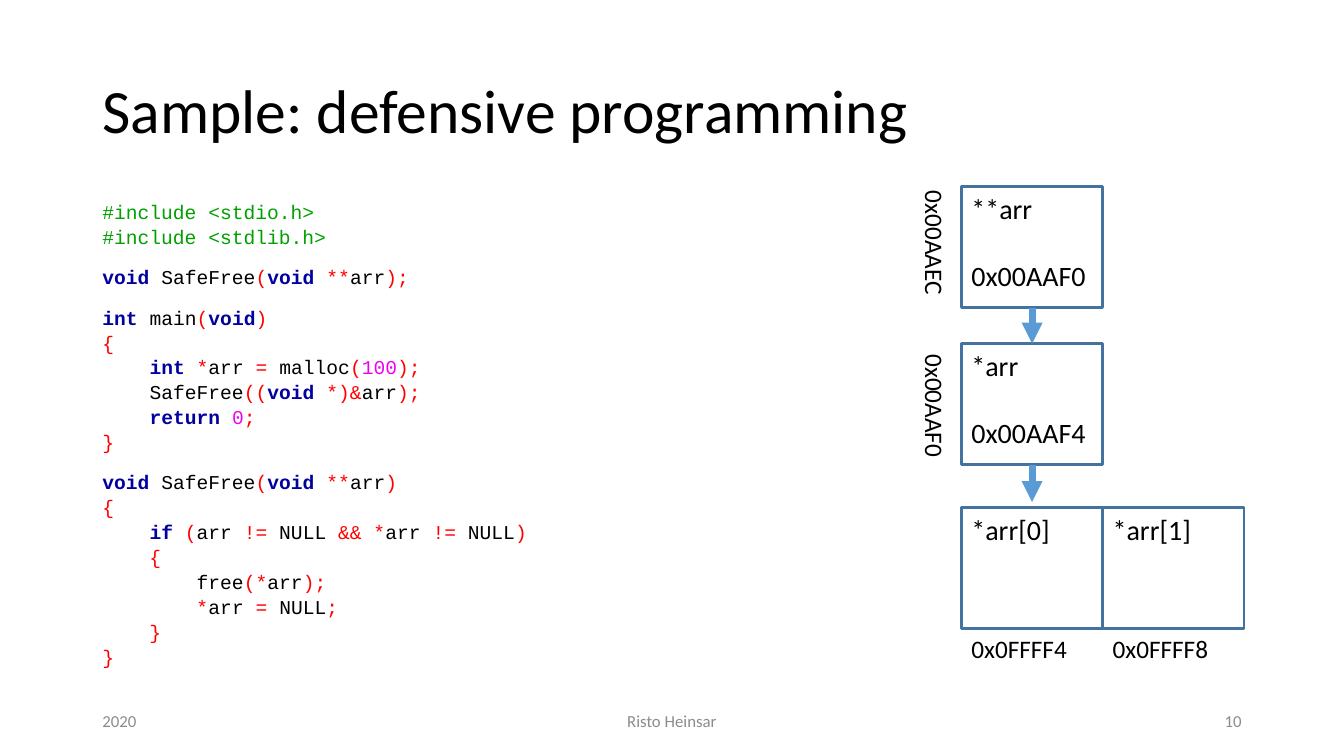
from itertools import groupby

from lxml import etree
from pptx import Presentation
from pptx.dml.color import RGBColor
from pptx.enum.shapes import MSO_CONNECTOR as Connector, MSO_SHAPE as Shape
from pptx.enum.text import MSO_ANCHOR as Anchor, MSO_AUTO_SIZE as AutoSize, PP_ALIGN as Align
from pptx.oxml.ns import qn
from pptx.util import Cm, Pt

TITLE_ONLY = 5
BLACK, GREY, WHITE = "000000", "8C8C8C", "FFFFFF"
BOX_LINE, ARROW = "43739E", "5B9BD5"
DIRECTIVE, KEYWORD, NUMBER, SYMBOL = "00A000", "0000A0", "F000F0", "FF0000"
KEYWORDS = {"void", "int", "return", "if"}

CODE_BLOCKS = [
    """#include <stdio.h>
#include <stdlib.h>""",
    "void SafeFree(void **arr);",
    """int main(void)
{
    int *arr = malloc(100);
    SafeFree((void *)&arr);
    return 0;
}""",
    """void SafeFree(void **arr)
{
    if (arr != NULL && *arr != NULL)
    {
        free(*arr);
        *arr = NULL;
    }
}""",
]

BOX_WIDTH, BOX_HEIGHT = 3.56, 3.05


def color(hex_string):
    return RGBColor.from_string(hex_string)


def add_text(paragraph, text, size=18, font="Calibri", fill=BLACK, bold=False):
    run = paragraph.add_run()
    run.text = text
    run.font.size = Pt(size)
    run.font.name = font
    run.font.bold = bold
    run.font.color.rgb = color(fill)


def add_text_box(slide, left, top, width, height, wrap=True):
    text_box = slide.shapes.add_textbox(Cm(left), Cm(top), Cm(width), Cm(height))
    text_box.text_frame.word_wrap = wrap
    return text_box


def add_title(slide, text, left, top, width, height):
    title = slide.shapes.title
    title.left, title.top, title.width, title.height = map(Cm, (left, top, width, height))
    title.text_frame.vertical_anchor = Anchor.MIDDLE
    paragraph = title.text_frame.paragraphs[0]
    paragraph.alignment = Align.LEFT
    paragraph.line_spacing = 0.9
    add_text(paragraph, text, size=44)


def highlight(line):
    """Split a line of C into pieces of text with their colours."""
    if line.startswith("#"):
        return [(line, DIRECTIVE)]
    pieces = []
    for is_word, characters in groupby(line, str.isalnum):
        piece = "".join(characters)
        if not is_word:
            fill = SYMBOL
        elif piece in KEYWORDS:
            fill = KEYWORD
        else:
            fill = NUMBER if piece.isdigit() else BLACK
        pieces.append((piece, fill))
    return pieces


def add_code(slide, left, top, width, height):
    frame = add_text_box(slide, left, top, width, height).text_frame
    paragraph = frame.paragraphs[0]
    for block_index, block in enumerate(CODE_BLOCKS):
        for line_index, line in enumerate(block.splitlines()):
            if block_index or line_index:
                paragraph = frame.add_paragraph()
                paragraph.space_before = Pt(6 if line_index else 17)
            paragraph.line_spacing = 0.7
            for piece, fill in highlight(line):
                add_text(paragraph, piece, 14, "Courier New", fill, fill == KEYWORD)


def add_memory_box(slide, left, top, name, value=None):
    box = slide.shapes.add_shape(
        Shape.RECTANGLE, Cm(left), Cm(top), Cm(BOX_WIDTH), Cm(BOX_HEIGHT))
    box.shadow.inherit = False
    box.fill.solid()
    box.fill.fore_color.rgb = color(WHITE)
    box.line.color.rgb = color(BOX_LINE)
    box.line.width = Pt(2)
    frame = box.text_frame
    frame.vertical_anchor = Anchor.TOP
    paragraph = frame.paragraphs[0]
    paragraph.alignment = Align.LEFT
    add_text(paragraph, name, size=20)
    if value:
        paragraph = frame.add_paragraph()
        paragraph.alignment = Align.LEFT
        paragraph.space_before = Pt(24)
        add_text(paragraph, value, size=20)
    return box


def add_address(slide, left, top, width, text, rotation=0):
    label = add_text_box(slide, left, top, width, 1.02, wrap=False)
    label.text_frame.auto_size = AutoSize.SHAPE_TO_FIT_TEXT
    label.rotation = rotation
    add_text(label.text_frame.paragraphs[0], text)


def add_arrow(slide, source, length, target=None):
    """Draw an arrow down from the bottom of source, joined to target if given."""
    middle, bottom = source.left + source.width // 2, source.top + source.height
    arrow = slide.shapes.add_connector(
        Connector.STRAIGHT, middle, bottom, middle, bottom + Cm(length))
    arrow.begin_connect(source, 2)
    if target is not None:
        arrow.end_connect(target, 0)
    arrow.line.color.rgb = color(ARROW)
    arrow.line.width = Pt(5)
    etree.SubElement(arrow.line._get_or_add_ln(), qn("a:tailEnd"), type="triangle")
    etree.SubElement(arrow._element.spPr, qn("a:effectLst"))


def add_memory_diagram(slide, left, top):
    double_pointer = add_memory_box(slide, left, top, "**arr", "0x00AAF0")
    pointer = add_memory_box(slide, left, top + 3.96, "*arr", "0x00AAF4")
    add_arrow(slide, double_pointer, 0.91, pointer)
    add_arrow(slide, pointer, 0.94)
    for offset, address in ((0.91, "0x00AAEC"), (5.03, "0x00AAF0")):
        add_address(slide, left - 2.23, top + offset, 3.12, address, rotation=90)

    array_top = top + 8.08
    for index, address in enumerate(("0x0FFFF4", "0x0FFFF8")):
        element_left = left + index * BOX_WIDTH
        add_memory_box(slide, element_left, array_top, f"*arr[{index}]")
        add_address(slide, element_left, array_top + BOX_HEIGHT, 2.95, address)


def add_footer(slide, left, top, width, height):
    side, center = 7.62, 11.43
    parts = [
        ("2020", left, side, Align.LEFT),
        ("Risto Heinsar", left + (width - center) / 2, center, Align.CENTER),
        ("10", left + width - side, side, Align.RIGHT),
    ]
    for text, part_left, part_width, alignment in parts:
        frame = add_text_box(slide, part_left, top, part_width, height).text_frame
        frame.vertical_anchor = Anchor.MIDDLE
        frame.paragraphs[0].alignment = alignment
        add_text(frame.paragraphs[0], text, size=12, fill=GREY)


def main():
    presentation = Presentation()
    presentation.slide_width, presentation.slide_height = Cm(33.87), Cm(19.05)
    slide = presentation.slides.add_slide(presentation.slide_layouts[TITLE_ONLY])
    margin, width = 2.33, 29.21
    add_title(slide, "Sample: defensive programming", margin, 1.01, width, 3.68)
    add_code(slide, margin, 5.08, 20, 12.09)
    add_memory_diagram(slide, 24.23, 4.7)
    add_footer(slide, margin, 17.66, width, 1.01)
    presentation.save("out.pptx")


if __name__ == "__main__":
    main()
